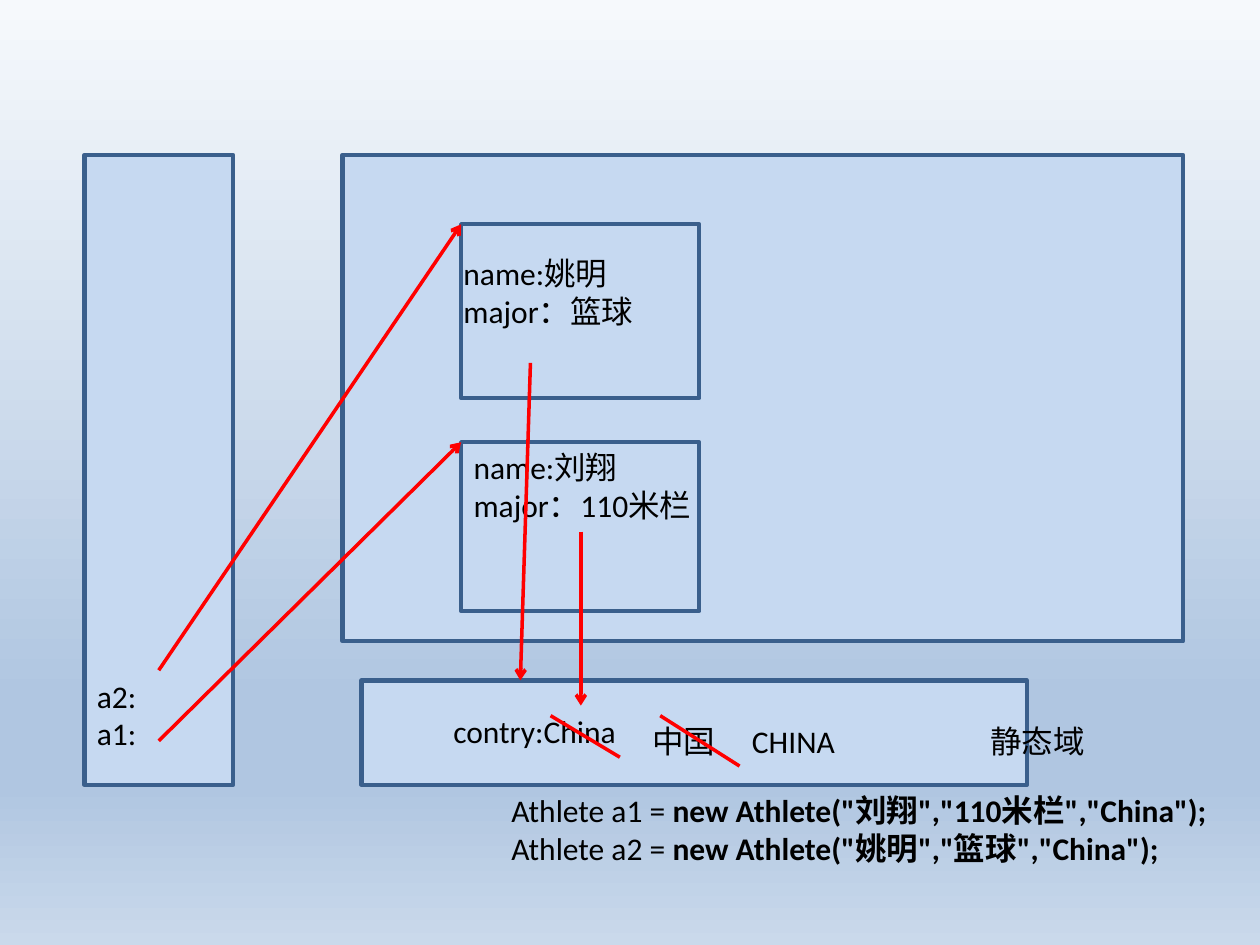
from copy import deepcopy

from pptx import Presentation
from pptx.dml.color import RGBColor
from pptx.enum.shapes import MSO_CONNECTOR as Connector, MSO_SHAPE as Shape
from pptx.enum.text import MSO_AUTO_SIZE as AutoSize
from pptx.oxml.ns import qn
from pptx.oxml.xmlchemy import OxmlElement
from pptx.util import Inches, Pt

BLACK = RGBColor(0x00, 0x00, 0x00)
RED = RGBColor(0xFF, 0x00, 0x00)
PALE_BLUE = RGBColor(0xC6, 0xD9, 0xF1)
DARK_BLUE = RGBColor(0x3A, 0x5F, 0x8C)
SKY = [
    (0, RGBColor(0xF6, 0xF9, 0xFC)),
    (0.74, RGBColor(0xB0, 0xC6, 0xE1)),
    (0.83, RGBColor(0xB0, 0xC6, 0xE1)),
    (1, RGBColor(0xCA, 0xD9, 0xEB)),
]


class MemoryDiagram:
    """Draws memory regions, references and labels on one slide in a shared style."""

    font_name = "Calibri"
    font_size = Pt(18)

    def __init__(self, slide):
        self.slide = slide
        self.shapes = slide.shapes

    def background(self, stops):
        fill = self.slide.background.fill
        fill.gradient()
        fill.gradient_angle = 270
        stop_list = self.slide.element.find(".//" + qn("a:gsLst"))
        for _ in range(len(stops) - len(stop_list)):
            stop_list.append(deepcopy(stop_list[0]))
        for stop, (position, color) in zip(fill.gradient_stops, stops):
            stop.position = position
            stop.color.rgb = color

    def region(self, left, top, width, height):
        box = self.shapes.add_shape(
            Shape.RECTANGLE, *map(Inches, (left, top, width, height)))
        box.shadow.inherit = False
        box.fill.solid()
        box.fill.fore_color.rgb = PALE_BLUE
        box.line.color.rgb = DARK_BLUE
        box.line.width = Pt(2.5)

    def label(self, left, top, width, *lines):
        height = 0.4 if len(lines) == 1 else 0.71
        box = self.shapes.add_textbox(*map(Inches, (left, top, width, height)))
        frame = box.text_frame
        frame.word_wrap = True
        frame.auto_size = AutoSize.SHAPE_TO_FIT_TEXT
        for index, (plain, bold) in enumerate(lines):
            paragraph = frame.add_paragraph() if index else frame.paragraphs[0]
            paragraph.font.name = self.font_name
            paragraph.font.size = self.font_size
            paragraph.font.color.rgb = BLACK
            paragraph.add_run().text = plain
            if bold:
                call = paragraph.add_run()
                call.text = bold
                call.font.bold = True

    def stroke(self, start, end, arrow=False):
        line = self.shapes.add_connector(
            Connector.STRAIGHT, *map(Inches, (*start, *end)))
        line.line.color.rgb = RED
        line.line.width = Pt(2)
        if arrow:
            head = OxmlElement("a:tailEnd")
            head.set("type", "arrow")
            line.line._get_or_add_ln().append(head)
        line._element.spPr.append(OxmlElement("a:effectLst"))


def main():
    presentation = Presentation()
    presentation.slide_width, presentation.slide_height = Inches(10), Inches(7.5)
    diagram = MemoryDiagram(
        presentation.slides.add_slide(presentation.slide_layouts[6]))
    diagram.background(SKY)

    diagram.label(
        3.96, 6.23, 6.04,
        ("Athlete a1 = ", 'new Athlete("刘翔","110米栏","China");'),
        ("Athlete a2 = ", 'new Athlete("姚明","篮球","China");'))

    diagram.region(0.67, 1.23, 1.18, 5)
    diagram.region(2.72, 1.23, 6.67, 3.86)
    diagram.label(0.67, 5.32, 1.18, ("a2:", ""), ("a1:", ""))

    diagram.region(3.66, 3.51, 1.89, 1.34)
    diagram.region(3.66, 1.78, 1.89, 1.38)
    diagram.stroke((1.26, 5.88), (3.66, 3.51), arrow=True)
    diagram.stroke((1.26, 5.32), (3.66, 1.78), arrow=True)
    diagram.label(3.66, 3.51, 2.05, ("name:刘翔", ""), ("major：110米栏", ""))
    diagram.label(3.58, 1.97, 2.05, ("name:姚明", ""), ("major：篮球", ""))

    diagram.region(2.87, 5.4, 5.28, 0.83)
    diagram.label(7.76, 5.68, 1.63, ("静态域", ""))
    diagram.label(3.5, 5.6, 2.36, ("contry:China", ""))
    diagram.stroke((4.21, 2.88), (4.13, 5.4), arrow=True)
    diagram.stroke((4.61, 4.22), (4.61, 5.6), arrow=True)
    diagram.stroke((4.37, 5.68), (4.92, 6.01))
    diagram.label(5.08, 5.68, 0.97, ("中国", ""))
    diagram.stroke((5.24, 5.68), (5.87, 6.08))
    diagram.label(5.87, 5.68, 0.87, ("CHINA", ""))

    presentation.save("out.pptx")


if __name__ == "__main__":
    main()
